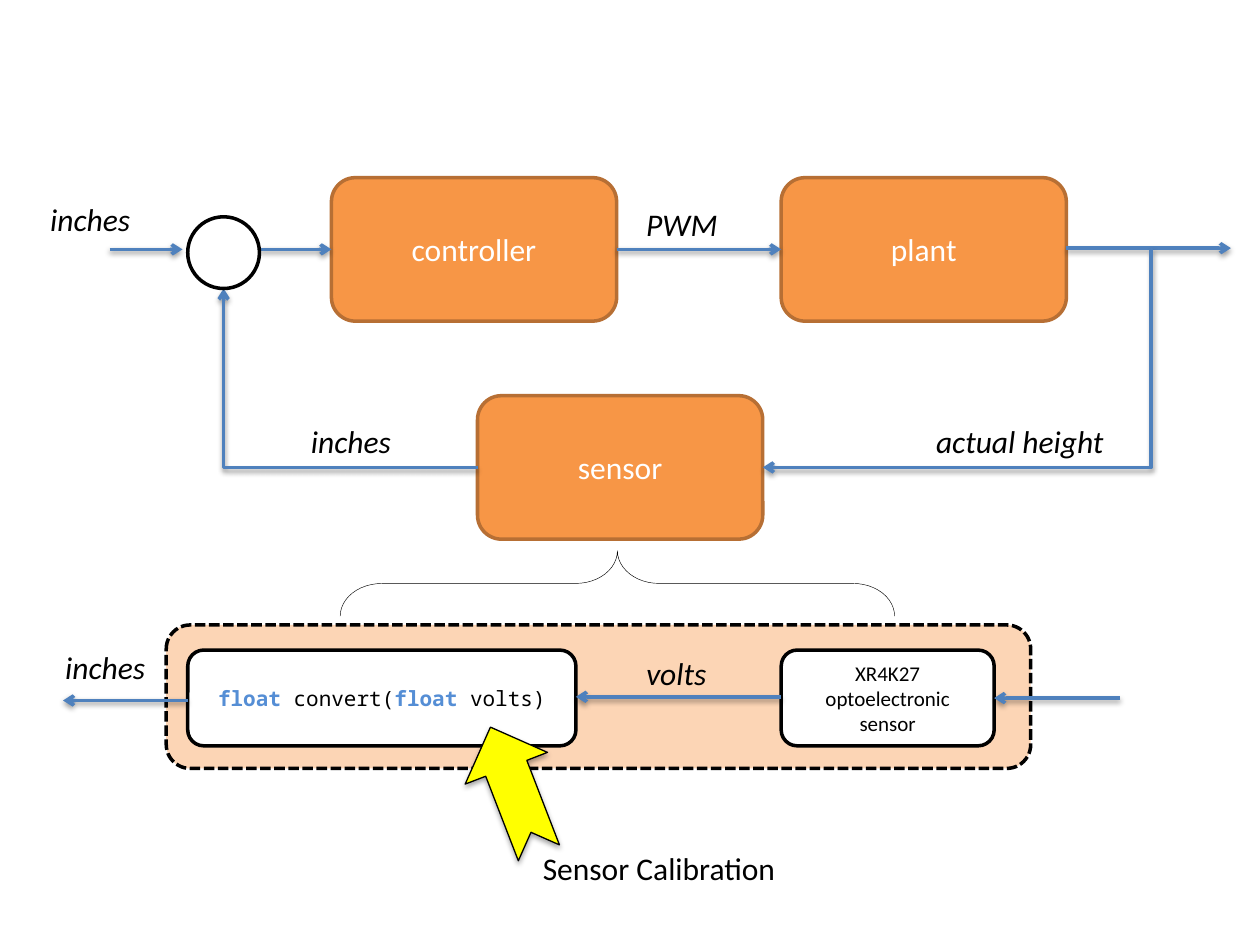
from lxml.etree import SubElement
from pptx import Presentation
from pptx.dml.color import RGBColor
from pptx.enum.dml import MSO_LINE
from pptx.enum.shapes import MSO_CONNECTOR, MSO_SHAPE
from pptx.enum.text import MSO_ANCHOR, PP_ALIGN
from pptx.oxml.ns import qn
from pptx.util import Pt

COLORS = {
    "black": "000000", "white": "FFFFFF", "orange": "F79646",
    "brown": "B76F34", "peach": "FCD5B5", "wire": "4F81BD",
    "keyword": "558ED5", "yellow": "FFFF00",
}


def color(name):
    """Look up a palette colour."""
    return RGBColor.from_string(COLORS[name])


def set_font(font, size, tint, name="Calibri"):
    """Set the face, size and colour of a font."""
    font.name, font.size = name, Pt(size)
    font.color.rgb = color(tint)


def add_shadow(effects, opacity):
    """Put a soft downward shadow in an effect list."""
    shadow = SubElement(effects, qn("a:outerShdw"), blurRad=str(Pt(3.1)),
                        dist=str(Pt(1.7)), dir="5400000", rotWithShape="0")
    tint = SubElement(shadow, qn("a:srgbClr"), val=COLORS["black"])
    SubElement(tint, qn("a:alpha"), val=str(opacity * 1000))


def add_box(page, kind, left, top, width, height, fill, line="black", weight=2):
    """Add a preset shape with a flat fill and an outline."""
    box = page.shapes.add_shape(kind, Pt(left), Pt(top), Pt(width), Pt(height))
    box.shadow.inherit = False
    if fill:
        box.fill.solid()
        box.fill.fore_color.rgb = color(fill)
    else:
        box.fill.background()
    box.line.color.rgb = color(line)
    box.line.width = Pt(weight)
    return box


def write_lines(box, lines, size, tint):
    """Write centred paragraphs in the middle of a box."""
    frame = box.text_frame
    frame.word_wrap = True
    frame.vertical_anchor = MSO_ANCHOR.MIDDLE
    frame.text = "\n".join(lines)
    for para in frame.paragraphs:
        para.alignment = PP_ALIGN.CENTER
        set_font(para.font, size, tint)


def add_label(page, text, left, top, width, italic=True):
    """Add a one-line label."""
    label = page.shapes.add_textbox(Pt(left), Pt(top), Pt(width), Pt(29))
    label.text_frame.word_wrap = False
    para = label.text_frame.paragraphs[0]
    para.text = text
    para.font.italic = italic
    set_font(para.font, 18, "black")


def add_wire(page, start, end, preset=None, bend=None):
    """Add an arrow, straight or bent by a preset."""
    kind = MSO_CONNECTOR.ELBOW if preset else MSO_CONNECTOR.STRAIGHT
    wire = page.shapes.add_connector(kind, *map(Pt, start + end))
    wire.line.color.rgb = color("wire")
    wire.line.width = Pt(2)
    SubElement(wire.get_or_add_ln(), qn("a:tailEnd"), type="arrow")
    properties = wire.element.spPr
    add_shadow(SubElement(properties, qn("a:effectLst")), 38)
    if preset:
        geometry = properties.find(qn("a:prstGeom"))
        geometry.set("prst", preset)
        if bend is not None:
            guides = geometry.find(qn("a:avLst"))
            SubElement(guides, qn("a:gd"), name="adj1", fmla=f"val {bend}")


def draw_control_loop(page, left, top):
    """Draw the feedback loop from its top left corner."""
    width, height = 163, 82
    middle, lower = top + height / 2, top + 165.6
    controller, plant, sensor = left + 167.8, left + 424.8, left + 251.3
    circle, diameter = left + 85.7, 41
    for text, x, y in (("controller", controller, top), ("plant", plant, top),
                       ("sensor", sensor, lower - height / 2)):
        block = add_box(page, MSO_SHAPE.ROUNDED_RECTANGLE, x, y, width, height,
                        "orange", "brown")
        write_lines(block, [text], 18, "white")

    for start, end in ((left + 41, circle - 3), (circle + diameter, controller),
                       (controller + width, plant)):
        add_wire(page, (start, middle), (end, middle))
    add_wire(page, (plant + width, middle - 0.7), (left + 681.8, middle - 0.7))
    add_wire(page, (left + 636, middle), (sensor + width, lower),
             "bentConnector3", -100)
    add_wire(page, (sensor, lower), (circle + diameter / 2, top + 63.4),
             "bentConnector2")
    add_box(page, MSO_SHAPE.OVAL, circle, top + 22.4, diameter, diameter, "white")

    for text, x, y, size in (("inches", 0, 9.4, 65.5), ("PWM", 340.6, 12.3, 59.8),
                             ("inches", 149, 136.1, 65.5),
                             ("actual height", 506.2, 136.1, 116)):
        add_label(page, text, left + x, top + y, size)


def draw_sensor_detail(page, left, top):
    """Draw the inside of the sensor from the panel's top left corner."""
    rounded = MSO_SHAPE.ROUNDED_RECTANGLE
    panel = add_box(page, rounded, left, top, 494, 82, "peach")
    panel.line.dash_style = MSO_LINE.SQUARE_DOT
    brace = add_box(page, MSO_SHAPE.LEFT_BRACE, left + 239.1, top - 182.1,
                    37.4, 316.8, None, weight=0.25)
    brace.rotation = 90
    brace.adjustments[0] = 0.637

    detector = add_box(page, rounded, left + 351.4, top + 14.4, 121.7, 54.7, "white")
    write_lines(detector, ["XR4K27", "optoelectronic sensor"], 12, "black")
    convert = add_box(page, rounded, left + 12.3, top + 14.4, 221.8, 54.7, "white")
    write_lines(convert, [""], 12, "black")
    para = convert.text_frame.paragraphs[0]
    for text, keyword in (("float ", True), ("convert(", False),
                          ("float ", True), ("volts)", False)):
        span = para.add_run()
        span.text = text
        span.font.bold = keyword
        set_font(span.font, 12, "keyword" if keyword else "black", "Noto Sans Mono")

    for start, end, y in ((545, 473.1, 41.8), (351.4, 234.1, 41.1),
                          (12.3, -59, 43.2)):
        add_wire(page, (left + start, top + y), (left + end, top + y))
    add_label(page, "inches", left - 64.8, top + 9.4, 65.5)
    add_label(page, "volts", left + 267.2, top + 13, 54)


def draw_callout(page, left, top):
    """Draw the pointing arrow and its caption from the arrow's corner."""
    arrow = add_box(page, MSO_SHAPE.NOTCHED_RIGHT_ARROW, left, top, 77, 50.4,
                    "yellow", weight=0.75)
    arrow.rotation = 248.9
    add_shadow(arrow.element.spPr.find(qn("a:effectLst")), 35)
    add_label(page, "Sensor Calibration", left + 47.5, top + 55.5, 149, italic=False)


def main():
    """Build and save the deck."""
    deck = Presentation()
    deck.slide_width, deck.slide_height = Pt(720), Pt(540)
    page = deck.slides.add_slide(deck.slide_layouts[6])
    draw_control_loop(page, 21.6, 101.5)
    draw_sensor_detail(page, 95, 357.1)
    draw_callout(page, 255.6, 426.2)
    deck.save("out.pptx")


main()
